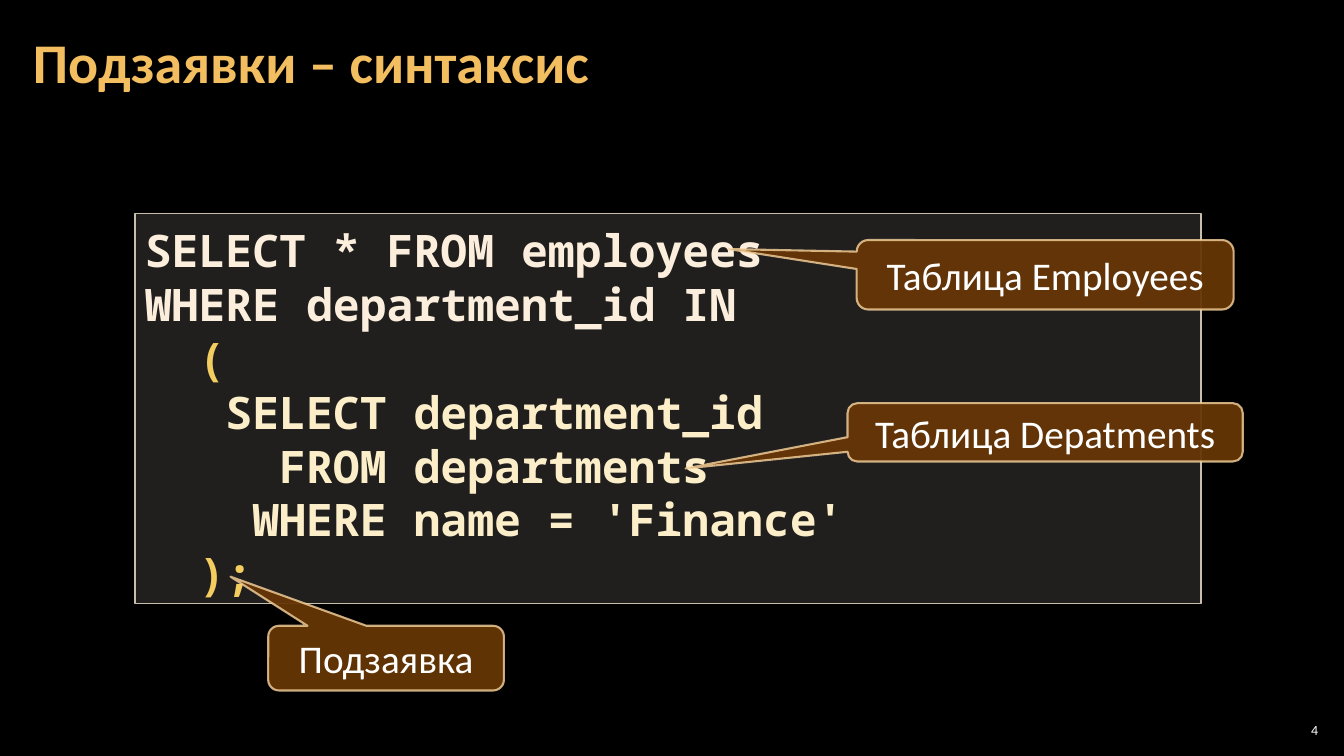
from lxml.etree import SubElement
from pptx import Presentation
from pptx.dml.color import RGBColor
from pptx.enum.shapes import MSO_SHAPE
from pptx.enum.text import MSO_ANCHOR, PP_ALIGN
from pptx.oxml.ns import qn
from pptx.util import Cm, Pt

TITLE = "Подзаявки – синтаксис"
PAGE_NUMBER = "4"
GOLD, CREAM, PALE = "F3CD60", "FBEEDC", "FBEEC9"
CODE_LINES = [
    ("SELECT * FROM employees", CREAM),
    ("WHERE department_id IN", CREAM),
    ("  (", GOLD),
    ("   SELECT department_id", PALE),
    ("     FROM departments", PALE),
    ("    WHERE name = 'Finance'", PALE),
    ("  );", GOLD),
]
CODE_BOX = (3.4, 5.38, 26.87, 9.83)
CALLOUTS = [
    ("Таблица Depatments", (21.36, 10.16, 9.96, 1.47), (-0.91, 0.62)),
    ("Подзаявка", (6.76, 15.77, 5.94, 1.63), (-0.66, -1.26)),
    ("Таблица Employees", (21.59, 6.05, 9.5, 1.75), (-0.84, -0.37)),
]


def color(value):
    return RGBColor.from_string(value)


def place(box):
    return [Cm(length) for length in box]


def set_margins(frame, horizontal, vertical):
    frame.margin_left = frame.margin_right = Cm(horizontal)
    frame.margin_top = frame.margin_bottom = Cm(vertical)


def write(paragraph, text, size, hex_color="FFFFFF", font="Calibri", bold=False,
          align=PP_ALIGN.LEFT, spacing=None):
    paragraph.alignment = align
    paragraph.line_spacing = spacing
    run = paragraph.add_run()
    run.text = text
    run.font.size = Pt(size)
    run.font.name = font
    run.font.bold = bold
    run.font.color.rgb = color(hex_color)


def set_opacity(color_format_parent, percent):
    for element in color_format_parent.iter(qn("a:srgbClr")):
        SubElement(element, qn("a:alpha")).set("val", str(percent * 1000))


def add_panel(slide, kind, box, fill, fill_opacity, line, line_width, line_opacity=100):
    shape = slide.shapes.add_shape(kind, *place(box))
    shape.shadow.inherit = False
    shape.fill.solid()
    shape.fill.fore_color.rgb = color(fill)
    shape.line.color.rgb = color(line)
    shape.line.width = Pt(line_width)
    properties = shape._element.spPr
    set_opacity(properties.find(qn("a:solidFill")), fill_opacity)
    set_opacity(properties.find(qn("a:ln")), line_opacity)
    shape.text_frame.word_wrap = True
    return shape


def add_title(slide):
    title = slide.shapes.title
    title.left, title.top, title.width, title.height = place((0.53, 0.1, 32.79, 3.07))
    frame = title.text_frame
    frame.vertical_anchor = MSO_ANCHOR.MIDDLE
    set_margins(frame, 0.3, 0.1)
    write(frame.paragraphs[0], TITLE, 40, "F3BE60", bold=True, spacing=0.9)


def add_code(slide):
    panel = add_panel(slide, MSO_SHAPE.RECTANGLE, CODE_BOX, "D9D5C7", 15, "C7BFAC", 1)
    frame = panel.text_frame
    frame.vertical_anchor = MSO_ANCHOR.TOP
    frame.margin_top = Cm(0.23)
    for index, (text, hex_color) in enumerate(CODE_LINES):
        paragraph = frame.add_paragraph() if index else frame.paragraphs[0]
        write(paragraph, text, 32, hex_color, "Noto Sans Mono", True, spacing=Pt(38.5))


def add_callout(slide, text, box, tip):
    callout = add_panel(slide, MSO_SHAPE.ROUNDED_RECTANGULAR_CALLOUT, box,
                        "663606", 95, "F8D49E", 1.5, 80)
    callout.adjustments[0], callout.adjustments[1] = tip
    callout.text_frame.vertical_anchor = MSO_ANCHOR.MIDDLE
    write(callout.text_frame.paragraphs[0], text, 28, align=PP_ALIGN.CENTER)


def add_page_number(slide):
    frame = slide.shapes.add_textbox(*place((32.13, 18.14, 1.19, 0.53))).text_frame
    frame.word_wrap = True
    frame.vertical_anchor = MSO_ANCHOR.MIDDLE
    set_margins(frame, 0.1, 0.1)
    write(frame.paragraphs[0], PAGE_NUMBER, 10, align=PP_ALIGN.RIGHT)


def main():
    presentation = Presentation()
    presentation.slide_width, presentation.slide_height = Cm(33.87), Cm(19.05)
    slide = presentation.slides.add_slide(presentation.slide_layouts[5])
    slide.background.fill.solid()
    slide.background.fill.fore_color.rgb = color("000000")
    add_title(slide)
    add_code(slide)
    for text, box, tip in CALLOUTS:
        add_callout(slide, text, box, tip)
    add_page_number(slide)
    presentation.save("out.pptx")


if __name__ == "__main__":
    main()
